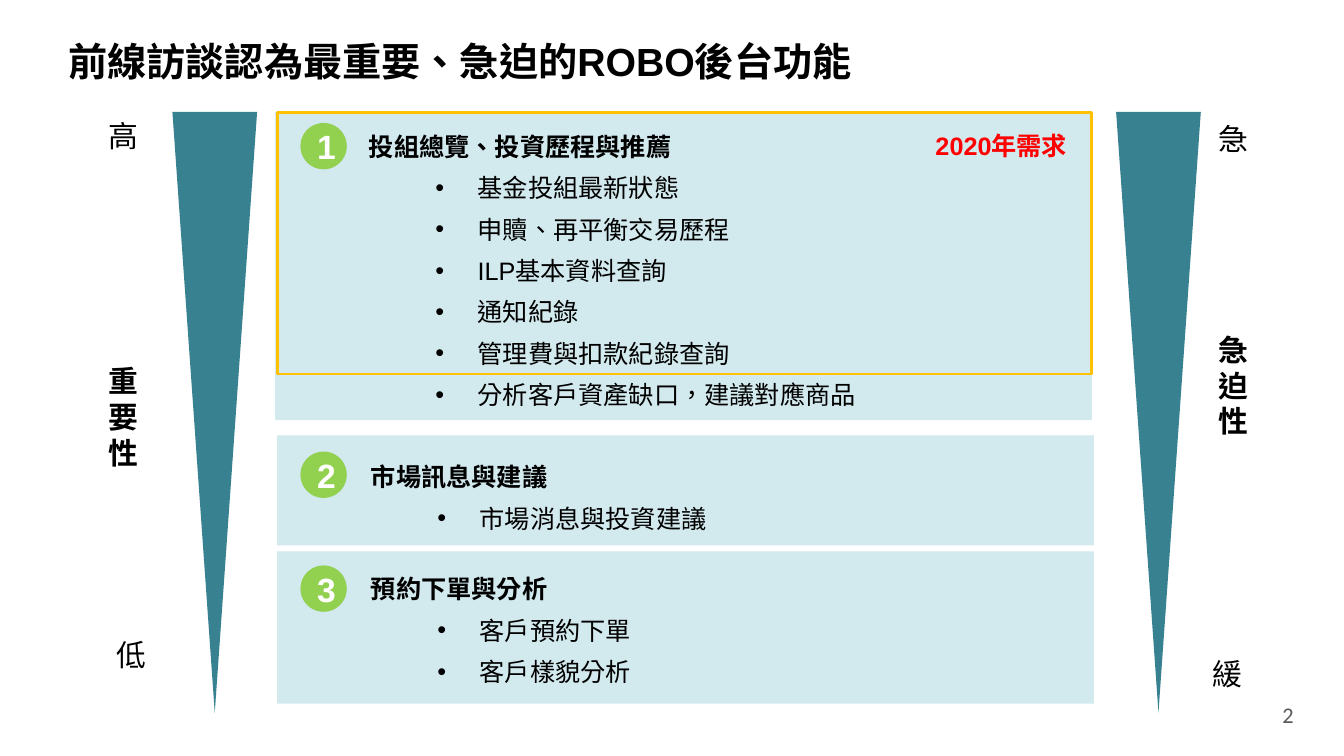
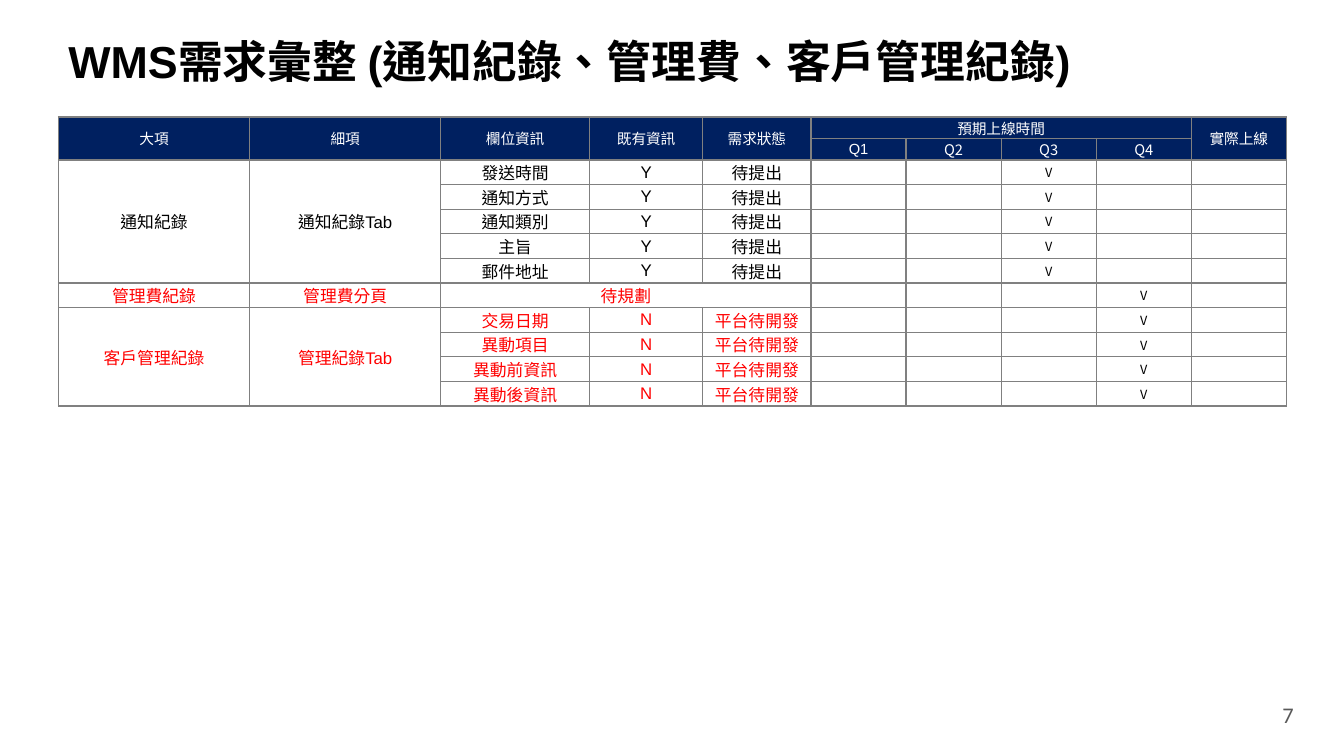
from pptx import Presentation
from pptx import util as u
from pptx.dml.color import RGBColor
from pptx.enum import lang, shapes, text
from pptx.oxml import ns
from lxml import etree

BLACK, WHITE, RED = "000000", "FFFFFF", "FF0000"
PANEL, TEAL, GREEN, AMBER = "D2E9EE", "378190", "92D050", "FFC000"
NAVY, GREY, PAGE_GREY = "002060", "808080", "595959"
LATIN, CJK = "Arial", "Noto Sans CJK SC"


def color(hex_value):
    """Turn a hex string into a colour."""
    return RGBColor.from_string(hex_value)


def box_lengths(box):
    """Turn left, top, width and height in inches into lengths."""
    return [u.Inches(value) for value in box]


def add_run(paragraph, words, size, tint=BLACK, bold=False, face=LATIN):
    """Append one formatted run to a paragraph."""
    run = paragraph.add_run()
    run.text = words
    font = run.font
    font.size, font.bold, font.name = u.Pt(size), bold, face
    font.color.rgb = color(tint)
    font.language_id = lang.MSO_LANGUAGE_ID.TRADITIONAL_CHINESE


def add_label(slide, box, words, size, tint=BLACK, bold=False, face=LATIN, anchor=text.MSO_ANCHOR.TOP):
    """Place a wrapped line of text in a box."""
    frame = slide.shapes.add_textbox(*box_lengths(box)).text_frame
    frame.word_wrap = True
    frame.vertical_anchor = anchor
    add_run(frame.paragraphs[0], words, size, tint, bold, face)


def add_figure(slide, kind, box, fill=None, line=None):
    """Draw a flat preset shape with an optional fill or outline."""
    figure = slide.shapes.add_shape(kind, *box_lengths(box))
    figure.shadow.inherit = False
    if fill:
        figure.fill.solid()
        figure.fill.fore_color.rgb = color(fill)
    else:
        figure.fill.background()
    if line:
        figure.line.color.rgb = color(line)
        figure.line.width = u.Pt(2)
    else:
        figure.line.fill.background()
    return figure


def add_base(deck, title, title_size, page):
    """Start a blank slide with its title and page number."""
    slide = deck.slides.add_slide(deck.slide_layouts[6])
    middle = text.MSO_ANCHOR.MIDDLE
    add_label(slide, (0.58, 0.3, 12.18, 0.61), title, title_size, bold=True, anchor=middle)
    add_label(slide, (12.62, 6.88, 0.71, 0.41), page, 16, PAGE_GREY, face="Calibri", anchor=middle)
    return slide


def add_bullet(paragraph):
    """Give a paragraph a hanging bullet."""
    properties = paragraph._p.get_or_add_pPr()
    properties.set("marL", str(u.Inches(1.08)))
    properties.set("indent", str(u.Inches(-0.42)))
    etree.SubElement(properties, ns.qn("a:buFont")).set("typeface", LATIN)
    etree.SubElement(properties, ns.qn("a:buChar")).set("char", "•")


def add_section(slide, box, number, badge_drop, text_drop, heading, items):
    """Draw a panel with a numbered badge, a heading and bullets."""
    left, top, width, height = box
    add_figure(slide, shapes.MSO_SHAPE.RECTANGLE, box, PANEL)
    badge = add_figure(slide, shapes.MSO_SHAPE.OVAL, (2.98, top + badge_drop, 0.46, 0.46), GREEN)
    badge.text_frame.vertical_anchor = text.MSO_ANCHOR.MIDDLE
    digit = badge.text_frame.paragraphs[0]
    digit.alignment = text.PP_ALIGN.CENTER
    add_run(digit, str(number), 24, WHITE, True)
    inner = (left + 0.83, top + text_drop, width - 1.83, height - text_drop)
    frame = slide.shapes.add_textbox(*box_lengths(inner)).text_frame
    frame.word_wrap = True
    for index, words in enumerate([heading, *items]):
        paragraph = frame.add_paragraph() if index else frame.paragraphs[0]
        paragraph.space_before = paragraph.space_after = u.Pt(4)
        if index:
            paragraph.level = 1
            add_bullet(paragraph)
        add_run(paragraph, words, 18, bold=index == 0)


def add_scale(slide, wedge_left, labels):
    """Draw a downward wedge with the labels beside it."""
    wedge = add_figure(slide, shapes.MSO_SHAPE.ISOSCELES_TRIANGLE, (wedge_left, 1.11, 0.84, 5.96), TEAL)
    wedge.rotation = 180
    for left, top, width, words in labels:
        is_name = len(words) > 1
        add_label(slide, (left, top, width, 1.18 if is_name else 0.46), words, 21.3, bold=is_name)


def build_priorities(deck):
    """Build the slide that ranks the functions."""
    slide = add_base(deck, "前線訪談認為最重要、急迫的ROBO後台功能", 28, "2")
    sections = [
        ((2.73, 1.11, 8.1, 3.06), 0.11, 0.14, "投組總覽、投資歷程與推薦",
         ["基金投組最新狀態", "申贖、再平衡交易歷程", "ILP基本資料查詢", "通知紀錄",
          "管理費與扣款紀錄查詢", "分析客戶資產缺口，建議對應商品"]),
        ((2.75, 4.32, 8.1, 1.09), 0.16, 0.21, "市場訊息與建議", ["市場消息與投資建議"]),
        ((2.75, 5.47, 8.1, 1.51), 0.14, 0.17, "預約下單與分析", ["客戶預約下單", "客戶樣貌分析"]),
    ]
    for number, (box, *content) in enumerate(sections, 1):
        add_section(slide, box, number, *content)
    add_scale(slide, 1.71, [(0.98, 1.12, 0.73, "高"), (0.98, 3.55, 0.73, "重要性"), (1.06, 6.27, 0.73, "低")])
    add_scale(slide, 11.07, [(11.99, 1.15, 0.73, "急"), (11.99, 3.24, 0.67, "急迫性"), (11.93, 6.46, 0.73, "緩")])
    add_figure(slide, shapes.MSO_SHAPE.RECTANGLE, (2.75, 1.12, 8.08, 2.59), line=AMBER)
    add_label(slide, (9.18, 1.24, 1.52, 0.4), "2020年需求", 18, RED, True)


def add_borders(cell):
    """Outline a cell on all four sides."""
    properties = cell._tc.get_or_add_tcPr()
    for index, side in enumerate(("a:lnL", "a:lnR", "a:lnT", "a:lnB")):
        line = etree.Element(ns.qn(side), w=str(u.Pt(1)))
        fill = etree.SubElement(line, ns.qn("a:solidFill"))
        etree.SubElement(fill, ns.qn("a:srgbClr"), val=GREY)
        properties.insert(index, line)


def fill_cell(cell, words, size, tint, fill, face):
    """Format one table cell and write its text."""
    cell.fill.solid()
    cell.fill.fore_color.rgb = color(fill)
    add_borders(cell)
    cell.margin_left = cell.margin_right = cell.margin_top = cell.margin_bottom = 0
    cell.vertical_anchor = text.MSO_ANCHOR.MIDDLE
    paragraph = cell.text_frame.paragraphs[0]
    paragraph.alignment = text.PP_ALIGN.CENTER
    if words:
        add_run(paragraph, words, size, tint, face=face)
    else:
        etree.SubElement(paragraph._p, ns.qn("a:endParaRPr"), sz=str(size * 100))


def requirement_rows():
    """List the table's rows, header first."""
    quarters = ["Q1", "Q2", "Q3", "Q4"]
    header = ["大項", "細項", "欄位資訊", "既有資訊", "需求狀態", "預期上線時間", "", "", "", "實際上線"]
    due_q3, due_q4 = ["", "", "V", "", ""], ["", "", "", "V", ""]
    groups = [
        ("通知紀錄", "通知紀錄Tab", ["發送時間", "通知方式", "通知類別", "主旨", "郵件地址"], "Y", "待提出", due_q3),
        ("管理費紀錄", "管理費分頁", ["待規劃"], "", "", due_q4),
        ("客戶管理紀錄", "管理紀錄Tab", ["交易日期", "異動項目", "異動前資訊", "異動後資訊"], "N", "平台待開發", due_q4),
    ]
    rows = [header, [""] * 5 + quarters + [""]]
    for major, minor, fields, existing, status, due in groups:
        for index, field in enumerate(fields):
            lead = ["", ""] if index else [major, minor]
            rows.append([*lead, field, existing, status, *due])
    return rows


def add_requirements(slide, box, rows):
    """Draw the requirements table in a box."""
    widths = [1.89, 1.89, 1.47, 1.12, 1.07] + [0.94] * 5
    table = slide.shapes.add_table(len(rows), len(widths), *box_lengths(box)).table
    table.first_row = table.horz_banding = False
    for column, width in zip(table.columns, widths):
        column.width = u.Inches(width * box[2] / sum(widths))
    for row, words_in_row in enumerate(rows):
        is_header = row < 2
        table.rows[row].height = u.Pt(15.4 if is_header else 17.6)
        for column, words in enumerate(words_in_row):
            is_schedule = column >= 5
            face = CJK if is_schedule and words != "Q1" else LATIN
            size = 10.5 if is_header else 9 if is_schedule else 12
            tint = WHITE if is_header else RED if row >= 7 and not is_schedule else BLACK
            fill_cell(table.cell(row, column), words, int(size * 10) / 10 if words else 9,
                      tint, NAVY if is_header else WHITE, face)
    spans = [(0, column, 1, column) for column in (0, 1, 2, 3, 4, 9)]
    spans += [(first, column, last, column) for first, last in ((2, 6), (8, 11)) for column in (0, 1)]
    spans += [(0, 5, 0, 8), (7, 2, 7, 4)]
    for top, left, bottom, right in spans:
        table.cell(top, left).merge(table.cell(bottom, right))


def build_requirements(deck):
    """Build the slide that sums up the requirements."""
    slide = add_base(deck, "WMS需求彙整 (通知紀錄、管理費、客戶管理紀錄)", 32, "7")
    add_requirements(slide, (0.58, 1.16, 12.18, 2.87), requirement_rows())


def main():
    """Build and save the deck."""
    deck = Presentation()
    deck.slide_width, deck.slide_height = u.Inches(13.33), u.Inches(7.5)
    build_priorities(deck)
    build_requirements(deck)
    deck.save("out.pptx")


if __name__ == "__main__":
    main()
